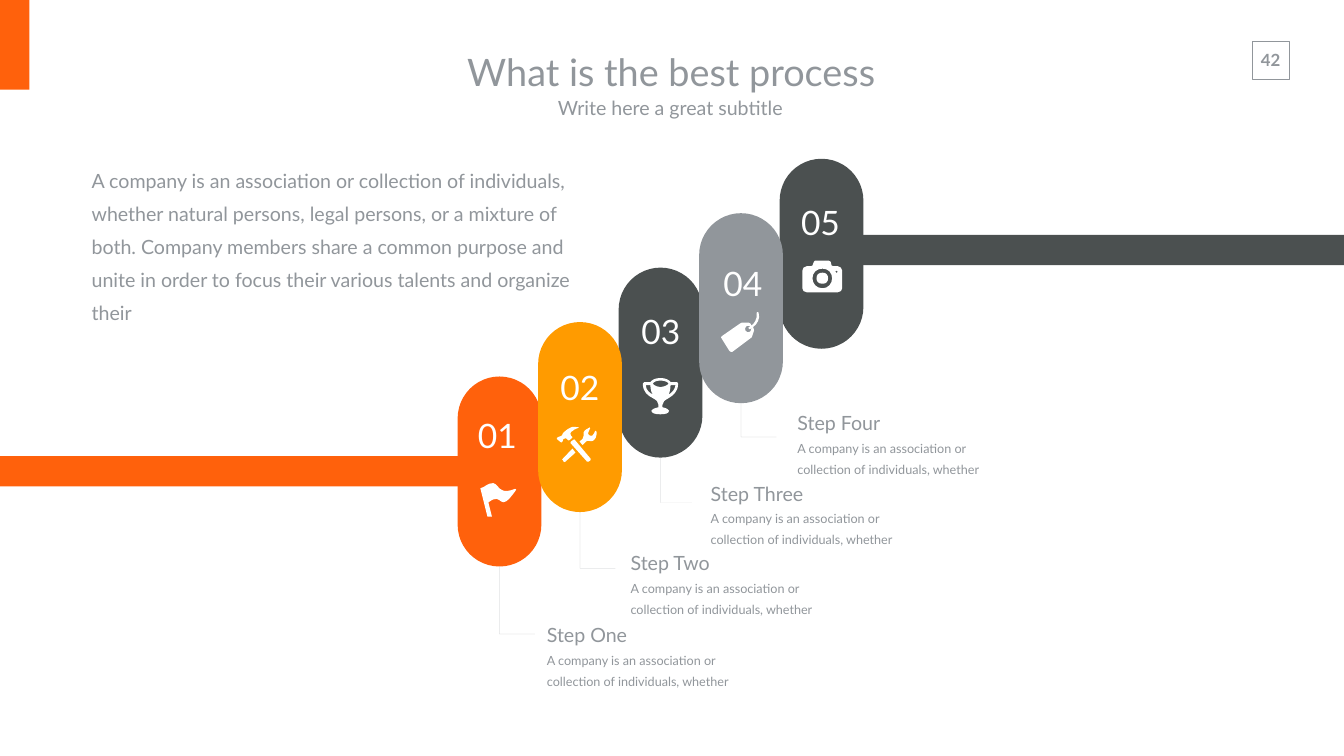
from pptx import Presentation
from pptx.dml.color import RGBColor
from pptx.enum.shapes import MSO_CONNECTOR, MSO_SHAPE
from pptx.enum.text import MSO_ANCHOR, MSO_AUTO_SIZE, PP_ALIGN
from pptx.oxml.ns import qn
from pptx.oxml.xmlchemy import OxmlElement
from pptx.util import Inches, Pt

RECT, PILL = MSO_SHAPE.RECTANGLE, MSO_SHAPE.ROUNDED_RECTANGLE
ELBOW = MSO_CONNECTOR.ELBOW
LEFT, CENTER = PP_ALIGN.LEFT, PP_ALIGN.CENTER
TOP, MIDDLE = MSO_ANCHOR.TOP, MSO_ANCHOR.MIDDLE
NO_FIT = MSO_AUTO_SIZE.NONE

FONT = "Lato"
ORANGE, AMBER, SLATE, GREY, WHITE = "FF610C", "FF9B00", "4B5050", "91969B", "FFFFFF"
WIDTH, HEIGHT = Inches(26.66), Inches(15)
COL, ROW = WIDTH / 100, HEIGHT / 100
ICON_UNIT = Inches(0.01)

PILL_X, PILL_Y, PILL_W, PILL_H = 34.05, 49.8, 6.23, 25.13
PITCH_X, PITCH_Y = 5.99, -7.2
ELBOW_Y, ELBOW_PITCH = 83.87, -8.69

INTRO = ("A company is an association or collection of individuals, whether natural "
         "persons, legal persons, or a mixture of both. Company members share a common "
         "purpose and unite in order to focus their various talents and organize their")
DETAIL = "A company is an association or\ncollection of individuals, whether"

FLAG = ("M 69 29 C 24 47 43 0 7 25 L 0 28 L 14 84 L 23 84 L 16 56 "
        "C 47 31 34 84 71 31 C 72 31 71 29 69 29")
TOOLS = ("M 13 24 C 16 21 19 22 23 27 C 24 28 24 27 24 27 C 26 27 30 21 31 21 L 31 20 "
         "C 30 20 28 18 28 17 C 21 7 48 1 44 1 C 41 0 32 0 31 0 C 27 1 20 5 17 8 "
         "C 13 11 12 13 12 13 C 10 14 12 17 9 18 C 6 20 5 18 3 20 C 3 21 2 21 0 22 "
         "L 0 24 L 6 29 C 6 31 7 31 9 31 C 9 29 10 28 12 28 C 12 28 12 24 13 24 "
         "M 35 25 L 34 25 L 28 29 C 27 31 27 31 27 32 L 60 69 C 60 70 62 70 63 69 "
         "L 67 66 C 67 64 67 63 67 63 "
         "M 79 10 C 77 7 77 8 76 8 C 76 10 73 13 73 14 C 72 17 69 20 65 17 "
         "C 60 13 62 11 63 10 C 63 8 66 4 66 3 C 67 3 66 1 65 1 C 63 3 55 5 53 11 "
         "C 52 15 55 20 51 24 L 45 29 L 51 36 L 58 29 C 59 28 62 27 65 28 "
         "C 72 29 74 27 77 22 C 79 18 79 11 79 10 "
         "M 12 63 C 10 64 10 66 12 66 L 14 70 C 16 70 17 70 17 69 L 37 51 L 31 43")
TROPHY = ("M 39 53 C 39 47 44 44 51 40 C 59 35 70 28 70 11 C 70 10 69 8 68 8 L 55 8 "
          "C 52 4 46 0 35 0 C 24 0 18 4 15 8 L 3 8 C 1 8 0 10 0 11 C 0 28 10 35 20 40 "
          "C 27 44 31 47 31 53 L 31 58 C 22 60 17 63 17 65 C 17 70 25 72 35 72 "
          "C 45 72 52 70 52 65 C 52 63 48 60 39 58 "
          "M 51 33 C 53 29 55 22 55 14 L 65 14 C 63 24 58 29 51 33 "
          "M 35 5 C 46 5 51 10 51 11 C 51 12 46 17 35 18 C 24 17 20 12 20 11 "
          "C 20 10 24 5 35 5 M 6 14 L 15 14 C 15 22 17 29 20 33 C 13 29 6 24 6 14")
TAG = ("M 75 1 C 75 1 73 0 72 0 C 71 1 71 3 71 3 C 73 14 66 23 61 27 L 59 23 "
       "C 58 23 57 21 55 21 L 42 21 C 41 21 40 21 38 23 L 2 48 C 0 49 0 52 2 53 "
       "L 17 77 C 19 80 21 79 23 79 L 59 52 C 61 52 62 49 62 49 L 66 37 "
       "C 66 35 66 34 65 32 L 64 30 C 72 24 79 14 75 1 "
       "M 58 39 C 55 41 51 41 49 37 C 47 34 48 31 51 28 C 52 27 55 27 58 28 L 57 30 "
       "C 55 30 54 31 55 32 C 55 34 57 34 57 34 L 58 34 C 59 34 59 34 61 32 "
       "C 61 35 59 38 58 39")
CAMERA = ("M 40 24 C 32 24 28 28 28 35 C 28 42 32 46 40 46 C 47 46 51 42 51 35 "
          "C 51 28 47 24 40 24 M 70 11 L 62 11 C 61 11 59 11 58 10 L 56 2 "
          "C 55 2 54 0 52 0 L 25 0 C 25 0 24 2 23 2 L 20 10 C 20 11 18 11 17 11 L 9 11 "
          "C 3 11 0 16 0 20 L 0 55 C 0 59 3 63 9 63 L 70 63 C 75 63 79 59 79 55 L 79 20 "
          "C 79 16 75 11 70 11 M 40 55 C 28 55 20 46 20 35 C 20 24 28 16 40 16 "
          "C 51 16 59 24 59 35 C 59 46 51 55 40 55 "
          "M 68 25 C 66 25 65 24 65 22 C 65 21 66 20 68 20 C 69 20 70 21 70 22 "
          "C 70 24 69 25 68 25")

PILLS = [(ORANGE, (0.11, 2.67), FLAG, (1.69, 12.93)),
         (AMBER, (0.26, 3.47), TOOLS, (1.39, 13.87)),
         (SLATE, (0.3, 3.27), TROPHY, (1.8, 14.6)),
         (GREY, (0.41, 4.07), TAG, (1.61, 13.07)),
         (SLATE, (0.19, 3.27), CAMERA, (1.69, 13.47))]
STACKING = [0, 2, 4, 3, 1]
CAPTIONS = [("Step One", (40.32, 80.87, 19.69, 10.6), 2.63),
            ("Step Two", (46.55, 71.33, 24.27, 10.6), 2.63),
            ("Step Three", (52.51, 62.13, 19.69, 10.6), 2.33),
            ("Step Four", (58.96, 52.8, 17.93, 10.6), 2.63)]


def rgb(value):
    """Return the colour for a hex string."""
    return RGBColor.from_string(value)


def grid(x, y, w, h):
    """Turn a box in columns and rows into lengths on the slide."""
    return round(x * COL), round(y * ROW), round(w * COL), round(h * ROW)


def write(sp, text, sizes, color=GREY, align=LEFT, anchor=TOP, inset=(0.1, 0.05),
          spacing=1.0, bold=False, wrap=True):
    """Set a shape's text, with one size for each paragraph."""
    tf = sp.text_frame
    tf.text = text
    tf.auto_size, tf.word_wrap, tf.vertical_anchor = NO_FIT, wrap, anchor
    tf.margin_left = tf.margin_right = Inches(inset[0])
    tf.margin_top = tf.margin_bottom = Inches(inset[1])
    for p, size in zip(tf.paragraphs, sizes):
        p.alignment, p.line_spacing, p.space_before = align, spacing, Pt(0)
        for r in p.runs:
            r.font.name, r.font.size, r.font.bold = FONT, Pt(size), bold
            r.font.color.rgb = rgb(color)


def add_text(s, box, text, sizes, **style):
    """Add a text box."""
    write(s.shapes.add_textbox(*grid(*box)), text, sizes, **style)


def paint(sp, fill):
    """Give a shape a plain fill without outline or shadow."""
    sp.shadow.inherit = False
    sp.fill.solid()
    sp.fill.fore_color.rgb = rgb(fill)
    sp.line.fill.background()


def add_block(s, kind, box, fill):
    """Add a filled preset shape."""
    sp = s.shapes.add_shape(kind, *grid(*box))
    paint(sp, fill)
    return sp


def read_contour(outline):
    """Split a contour into segments, each a list of one or three points."""
    numbers = [[int(v) for v in part.split()]
               for part in outline.replace("C", "L").split("L")]
    return [list(zip(n[::2], n[1::2])) for n in numbers]


def bend(line, controls):
    """Turn a straight outline segment into a cubic curve."""
    curve = OxmlElement("a:cubicBezTo")
    for x, y in controls:
        pt = OxmlElement("a:pt")
        pt.set("x", str(x))
        pt.set("y", str(y))
        curve.append(pt)
    line.addprevious(curve)
    curve.append(line[0])
    line.getparent().remove(line)


def add_icon(s, x, y, drawing):
    """Draw a white icon with its top left at the given column and row."""
    contours = [read_contour(c) for c in drawing.split("M")[1:]]
    builder = s.shapes.build_freeform(*contours[0][0][0], scale=ICON_UNIT)
    for i, (start, *segments) in enumerate(contours):
        if i:
            builder.move_to(*start[0])
        builder.add_line_segments([seg[-1] for seg in segments], close=True)
    sp = builder.convert_to_shape(round(x * COL), round(y * ROW))
    paint(sp, WHITE)
    left, top = (min(axis) for axis in zip(*(seg[-1] for c in contours for seg in c)))
    lines = list(sp.element.iter(qn("a:lnTo")))
    for line, seg in zip(lines, [seg for c in contours for seg in c[1:]]):
        if len(seg) == 3:
            bend(line, [(px - left, py - top) for px, py in seg[:2]])


def add_elbow(s, x, y, end_x, end_y):
    """Add a faint line going down from a pill and then right."""
    left, top, right, bottom = grid(x, y, end_x, end_y)
    c = s.shapes.add_connector(ELBOW, right, bottom, left, top)
    c.line.width = Pt(0.25)
    c.line.color.rgb = rgb(GREY)
    sp_pr = c.element.spPr
    sp_pr.find(qn("a:prstGeom")).set("prst", "bentConnector2")
    alpha = OxmlElement("a:alpha")
    alpha.set("val", "50000")
    sp_pr.find(".//" + qn("a:srgbClr")).append(alpha)
    sp_pr.append(OxmlElement("a:effectLst"))


def add_header(s, title_box, subtitle_box):
    """Fill the title and subtitle placeholders."""
    parts = [(s.shapes.title, title_box, "What is the best process", 54),
             (s.placeholders[1], subtitle_box, "Write here a great subtitle ", 28)]
    for sp, box, text, size in parts:
        sp.left, sp.top, sp.width, sp.height = grid(*box)
        write(sp, text, [size], align=CENTER, anchor=MIDDLE, inset=(0.27, 0.13))


def add_page_number(s, frame_box, text_box):
    """Add the framed page number."""
    frame = s.shapes.add_shape(RECT, *grid(*frame_box))
    frame.shadow.inherit = False
    frame.fill.background()
    frame.line.color.rgb, frame.line.width = rgb(GREY), Pt(1)
    add_text(s, text_box, "42", [24], align=CENTER, inset=(0.2, 0.1), bold=True, wrap=False)


def add_pill(s, box, number, fill, number_at, drawing, icon_at):
    """Add a pill with its number and icon."""
    x, y = box[:2]
    add_block(s, PILL, box, fill).adjustments[0] = 0.5
    add_text(s, (x + number_at[0], y + number_at[1], 5.7, 7.87), f"{number:02d}", [48],
             color=WHITE, align=CENTER, spacing=1.4)
    add_icon(s, x + icon_at[0], y + icon_at[1], drawing)


def main():
    """Build the slide and save it."""
    prs = Presentation()
    prs.slide_width, prs.slide_height = WIDTH, HEIGHT
    s = prs.slides.add_slide(prs.slide_layouts[0])
    add_page_number(s, (93.16, 5.47, 2.81, 5), (93.02, 5.97, 3.04, 4.07))
    add_block(s, RECT, (0, 0, 2.18, 11.87), ORANGE)
    add_header(s, (30.57, 5.53, 38.75, 7.87), (30.68, 11.73, 38.75, 4.93))
    add_block(s, RECT, (0, 60.33, 34.1, 4), ORANGE)
    add_block(s, RECT, (64.1, 31.07, 35.9, 4), SLATE)
    add_text(s, (6.45, 20.8, 37.92, 18.07), INTRO, [28], spacing=1.4)
    for i in STACKING:
        box = (PILL_X + i * PITCH_X, PILL_Y + i * PITCH_Y, PILL_W, PILL_H)
        add_pill(s, box, i + 1, *PILLS[i])
    for i, (name, box, reach) in enumerate(CAPTIONS):
        x = PILL_X + i * PITCH_X + PILL_W / 2
        y = PILL_Y + i * PITCH_Y + PILL_H
        add_elbow(s, x, y, x + reach, ELBOW_Y + i * ELBOW_PITCH)
        add_text(s, box, f"{name}\n{DETAIL}", [28, 18, 18], spacing=1.4)
    prs.save("out.pptx")


if __name__ == "__main__":
    main()
